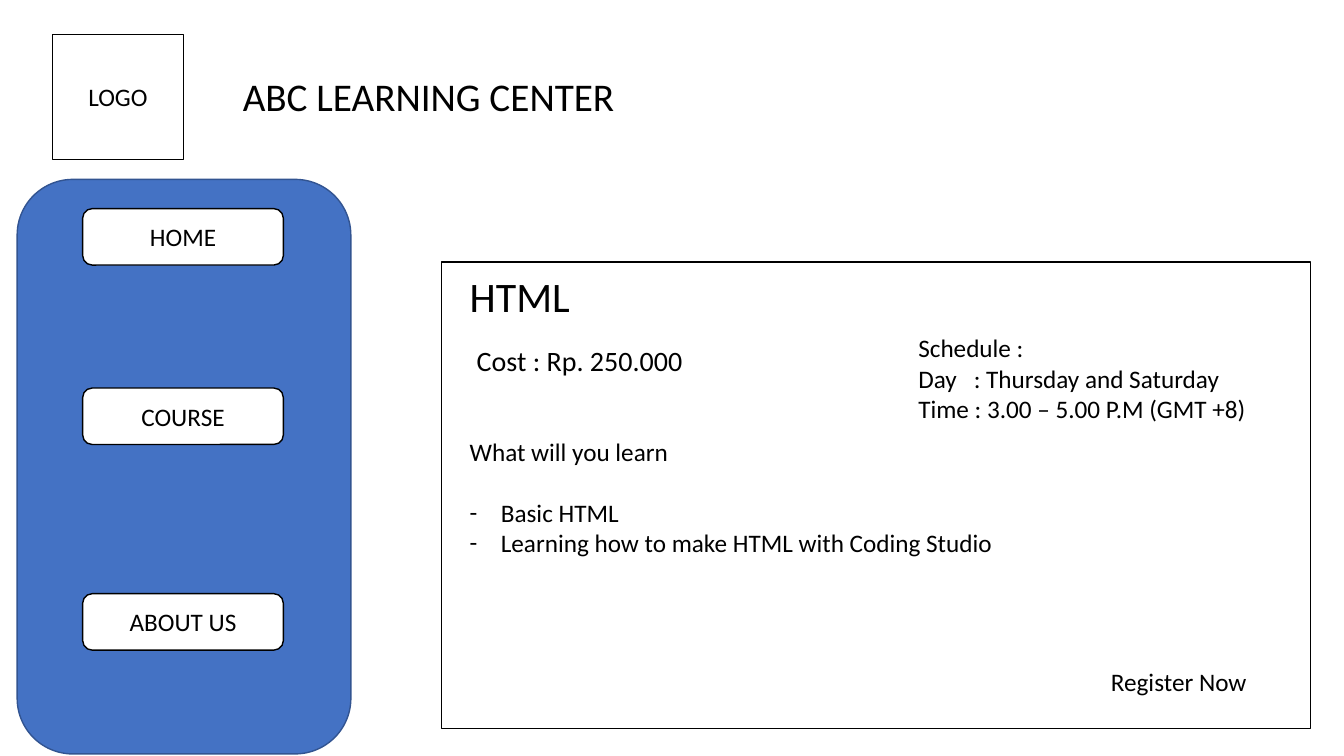
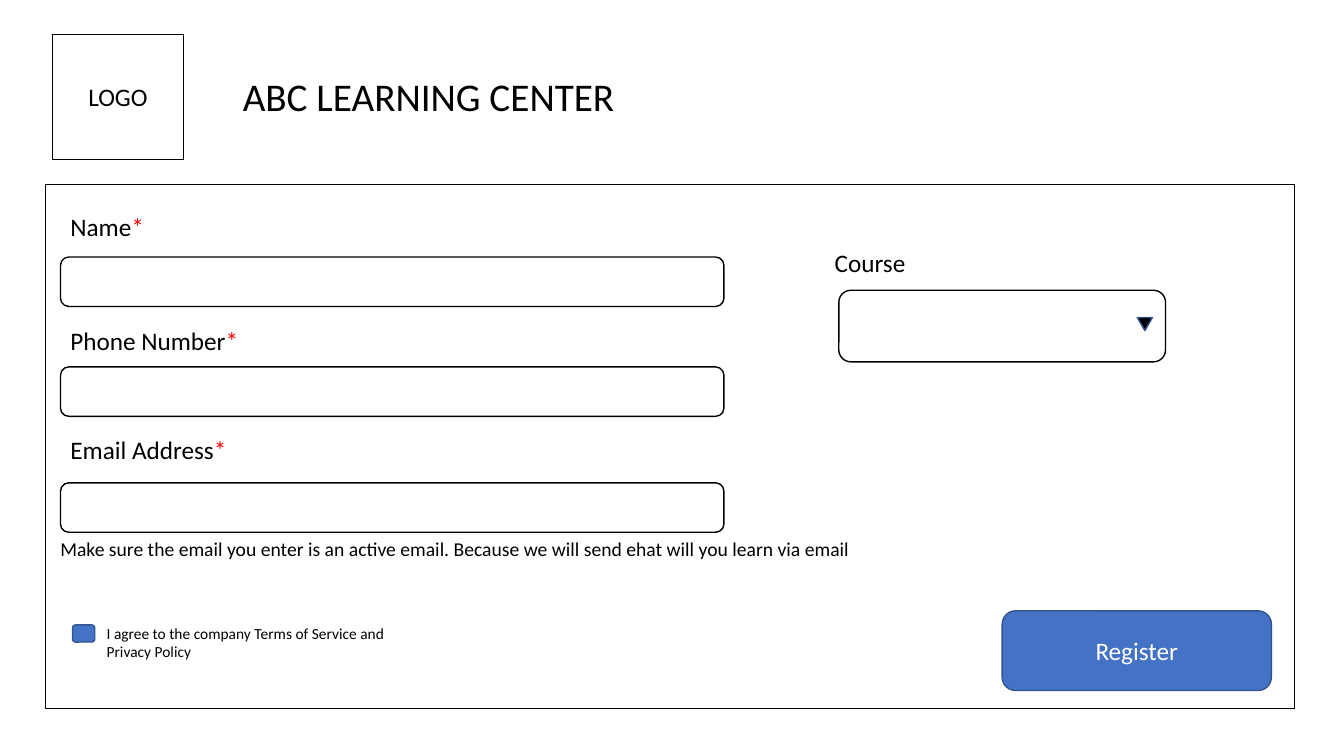
from dataclasses import dataclass

from lxml import etree
from pptx import Presentation
from pptx.dml.color import RGBColor
from pptx.enum.shapes import MSO_SHAPE as Kind
from pptx.enum.text import MSO_ANCHOR as Anchor, PP_ALIGN as Align
from pptx.oxml.ns import qn
from pptx.util import Inches, Pt

# Shared colours and font
BLACK = RGBColor(0x00, 0x00, 0x00)
WHITE = RGBColor(0xFF, 0xFF, 0xFF)
BLUE = RGBColor(0x44, 0x72, 0xC4)
NAVY = RGBColor(0x32, 0x54, 0x91)
RED = RGBColor(0xFF, 0x00, 0x00)
FACE = "Calibri"


@dataclass(frozen=True)
class Box:
    x: float
    y: float
    w: float
    h: float


@dataclass(frozen=True)
class Look:
    fill: RGBColor
    line: RGBColor
    ink: RGBColor


@dataclass(frozen=True)
class Label:
    text: str
    box: Box
    size: float = 18
    star: bool = False


@dataclass(frozen=True)
class Field:
    name: str
    top: float
    entry: float


PLAIN = Look(WHITE, BLACK, BLACK)
SOLID = Look(BLUE, NAVY, WHITE)
MARK = Look(BLACK, NAVY, WHITE)


# Drawing functions
def add_run(para, text: str, size: float, ink: RGBColor = BLACK) -> None:
    run = para.add_run()
    run.text = text
    for key, value in {"name": FACE, "size": Pt(size)}.items():
        setattr(run.font, key, value)
    run.font.color.rgb = ink


def add_box(slide, kind: Kind, box: Box, look: Look, text: str = ""):
    shape = slide.shapes.add_shape(
        kind, Inches(box.x), Inches(box.y), Inches(box.w), Inches(box.h))
    shape.shadow.inherit = False
    shape.fill.solid()
    shape.fill.fore_color.rgb = look.fill
    shape.line.color.rgb = look.line
    shape.line.width = Pt(1)
    if text:
        shape.text_frame.vertical_anchor = Anchor.MIDDLE
        para = shape.text_frame.paragraphs[0]
        para.alignment = Align.CENTER
        add_run(para, text, 18, look.ink)
    return shape


def add_label(slide, label: Label) -> list:
    box = label.box
    frame = slide.shapes.add_textbox(
        Inches(box.x), Inches(box.y), Inches(box.w), Inches(box.h)).text_frame
    frame.word_wrap = True
    for num, line in enumerate(label.text.split("\n")):
        para = frame.add_paragraph() if num else frame.paragraphs[0]
        add_run(para, line, label.size)
    if label.star:
        add_run(frame.paragraphs[-1], "*", label.size, RED)
    return list(frame.paragraphs)


def add_dash(para) -> None:
    props = para._p.get_or_add_pPr()
    props.set("marL", str(Inches(0.31)))
    props.set("indent", str(-Inches(0.31)))
    etree.SubElement(props, qn("a:buFont")).set("typeface", FACE)
    etree.SubElement(props, qn("a:buChar")).set("char", "-")


def add_tab(para, pos: float) -> None:
    tabs = etree.SubElement(para._p.get_or_add_pPr(), qn("a:tabLst"))
    tab = etree.SubElement(tabs, qn("a:tab"))
    tab.set("pos", str(Inches(pos)))
    tab.set("algn", "l")


def add_page(deck):
    slide = deck.slides.add_slide(deck.slide_layouts[6])
    add_box(slide, Kind.RECTANGLE, Box(0.52, 0.34, 1.3, 1.24), PLAIN, "LOGO")
    add_label(slide, Label("ABC LEARNING CENTER", Box(2.31, 0.67, 4.14, 0.57), 28))
    return slide


# Course page
MENU = {"HOME": 2.07, "COURSE": 3.85, "ABOUT US": 5.89}
FACTS = [
    Label("HTML", Box(4.56, 2.63, 1.34, 0.61), 30),
    Label("Cost : Rp. 250.000", Box(4.63, 3.36, 2.5, 0.44), 20),
    Label("Register Now", Box(10.92, 6.56, 1.8, 0.4)),
]
TOPICS = Label("What will you learn\nBasic HTML\n"
               "Learning how to make HTML with Coding Studio",
               Box(4.56, 4.28, 5.6, 1.31))
TIMES = Label("Schedule :\nDay\t: Thursday and Saturday\n"
              "Time : 3.00 – 5.00 P.M (GMT +8)",
              Box(9.01, 3.25, 3.83, 1.01))


def draw_course(deck) -> None:
    slide = add_page(deck)
    add_box(slide, Kind.ROUNDED_RECTANGLE, Box(0.17, 1.78, 3.31, 5.7), SOLID)
    for name, top in MENU.items():
        add_box(slide, Kind.ROUNDED_RECTANGLE,
                Box(0.82, top, 1.99, 0.56), PLAIN, name)
    add_box(slide, Kind.RECTANGLE, Box(4.38, 2.6, 8.62, 4.63), PLAIN)
    for fact in FACTS:
        add_label(slide, fact)
    head, *items = add_label(slide, TOPICS)
    head.space_after = Pt(22)
    for item in items:
        add_dash(item)
    add_tab(add_label(slide, TIMES)[1], 0.55)


# Sign-up page
FIELDS = [
    Field("Name", 2.05, 2.55),
    Field("Phone Number", 3.18, 3.64),
    Field("Email Address", 4.26, 4.79),
]
NOTES = [
    Label("Course", Box(8.18, 2.4, 1.2, 0.4)),
    Label("I agree to the company Terms of Service and\nPrivacy Policy",
          Box(0.96, 6.14, 3.3, 0.47), 11),
    Label("Make sure the email you enter is an active email. "
          "Because we will send ehat will you learn via email",
          Box(0.5, 5.28, 9.04, 0.34), 14),
]


def draw_form(deck) -> None:
    slide = add_page(deck)
    add_box(slide, Kind.RECTANGLE, Box(0.45, 1.83, 12.39, 5.2), PLAIN)
    for field in FIELDS:
        add_label(slide, Label(field.name, Box(0.6, field.top, 2.5, 0.4), star=True))
        add_box(slide, Kind.ROUNDED_RECTANGLE,
                Box(0.6, field.entry, 6.58, 0.49), PLAIN)
    # Course list and its arrow
    add_box(slide, Kind.ROUNDED_RECTANGLE, Box(8.32, 2.88, 3.24, 0.71), PLAIN)
    arrow = add_box(slide, Kind.ISOSCELES_TRIANGLE,
                    Box(11.28, 3.15, 0.15, 0.13), MARK)
    arrow.rotation = 180
    # Consent box, notes and button
    add_box(slide, Kind.ROUNDED_RECTANGLE, Box(0.72, 6.2, 0.22, 0.17), SOLID)
    for note in NOTES:
        add_label(slide, note)
    add_box(slide, Kind.ROUNDED_RECTANGLE,
            Box(9.94, 6.06, 2.67, 0.79), SOLID, "Register")


def main() -> None:
    deck = Presentation()
    deck.slide_width, deck.slide_height = Inches(13.33), Inches(7.5)
    draw_course(deck)
    draw_form(deck)
    deck.save("out.pptx")


if __name__ == "__main__":
    main()
